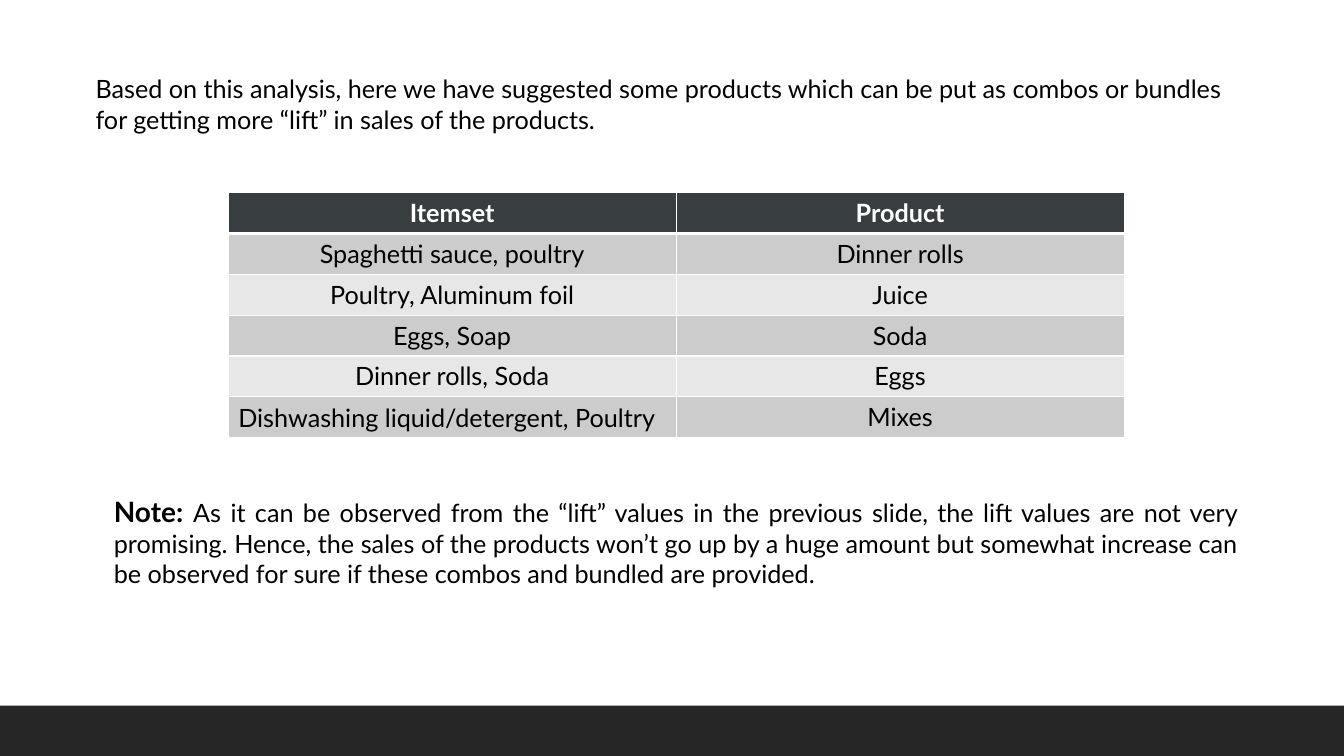
from dataclasses import dataclass

from lxml.etree import SubElement as Sub
from pptx import Presentation
from pptx.dml.color import RGBColor as RGB
from pptx.enum.shapes import MSO_SHAPE as SHAPE
from pptx.enum.text import MSO_ANCHOR as ANCHOR, PP_ALIGN as ALIGN
from pptx.oxml.ns import qn
from pptx.util import Pt


@dataclass(frozen=True)
class Theme:
    font: str = "Lato"
    body: int = 18
    lead: int = 20
    ink: str = "000000"
    paper: str = "FFFFFF"
    footer: str = "262626"
    header: str = "383E40"
    bands: tuple = ("CCCCCC", "E7E7E7")


class Deck:
    def __init__(self, prs, theme):
        self.theme = theme
        self.slide = prs.slides.add_slide(prs.slide_layouts[6])

    def run(self, p, text, **fmt):
        """Add a run to a paragraph, with theme defaults."""
        t = self.theme
        fmt = {"name": t.font, "size": t.body, "bold": False, "color": t.ink} | fmt
        color = fmt.pop("color")
        fmt["size"] = Pt(fmt["size"])
        r = p.add_run()
        r.text = text
        for key, value in fmt.items():
            setattr(r.font, key, value)
        r.font.color.rgb = RGB.from_string(color)

    def bar(self, x, y, w, h, color):
        sp = self.slide.shapes.add_shape(SHAPE.RECTANGLE, Pt(x), Pt(y), Pt(w), Pt(h))
        sp.shadow.inherit = False
        sp.fill.solid()
        sp.fill.fore_color.rgb = RGB.from_string(color)
        sp.line.fill.background()

    def text(self, x, y, w, h, runs, align=ALIGN.LEFT):
        tf = self.slide.shapes.add_textbox(Pt(x), Pt(y), Pt(w), Pt(h)).text_frame
        tf.word_wrap = True
        p = tf.paragraphs[0]
        p.alignment = align
        for text, fmt in runs:
            self.run(p, text, **fmt)

    def borders(self, cell, bottom):
        # Border lines must come before the fill in the cell properties
        tc_pr = cell._tc.get_or_add_tcPr()
        for i, side in enumerate("LRTB"):
            width = bottom if side == "B" else 1
            ln = Sub(tc_pr, qn(f"a:ln{side}"), w=str(Pt(width)))
            fill = Sub(ln, qn("a:solidFill"))
            Sub(fill, qn("a:srgbClr"), val=self.theme.paper)
            tc_pr.insert(i, ln)

    def table(self, x, y, col_w, row_h, rows):
        t, n_rows, n_cols = self.theme, len(rows), len(rows[0])
        table = self.slide.shapes.add_table(
            n_rows, n_cols, Pt(x), Pt(y), Pt(col_w * n_cols), Pt(row_h * n_rows)).table
        for col in table.columns:
            col.width = Pt(col_w)
        for i, row in enumerate(rows):
            table.rows[i].height = Pt(row_h)
            head = i == 0
            for j, text in enumerate(row):
                cell = table.cell(i, j)
                cell.fill.solid()
                cell.fill.fore_color.rgb = RGB.from_string(
                    t.header if head else t.bands[(i - 1) % 2])
                self.borders(cell, 3 if head else 1)
                p = cell.text_frame.paragraphs[0]
                p.alignment = ALIGN.CENTER
                self.run(p, text, bold=head, color=t.paper if head else t.ink)
        return table


INTRO = ("Based on this analysis, here we have suggested some products which can be "
         "put as combos or bundles for getting more “lift” in sales of the products.")
BUNDLES = [
    ("Itemset", "Product"),
    ("Spaghetti sauce, poultry", "Dinner rolls"),
    ("Poultry, Aluminum foil", "Juice"),
    ("Eggs, Soap", "Soda"),
    ("Dinner rolls, Soda", "Eggs"),
    ("Dishwashing liquid/detergent, Poultry", "Mixes"),
]
NOTE = ("As it can be observed from the “lift” values in the previous slide, the lift "
        "values are not very promising. Hence, the sales of the products won’t go up by "
        "a huge amount but somewhat increase can be observed for sure if these combos "
        "and bundled are provided.")


def main():
    prs = Presentation()
    prs.slide_width, prs.slide_height = Pt(960), Pt(540)
    theme = Theme()
    s = Deck(prs, theme)

    # Footer band
    s.bar(0, 504, 960, 36, theme.footer)

    # Introduction
    s.text(61.2, 49, 839.5, 51, [(INTRO, {})])

    # Suggested bundles; the longest itemset is set from the left
    table = s.table(163, 137.5, 320, 29.2, BUNDLES)
    longest = table.cell(len(BUNDLES) - 1, 0)
    longest.vertical_anchor = ANCHOR.MIDDLE
    longest.text_frame.paragraphs[0].alignment = ALIGN.LEFT

    # Note
    s.text(74.2, 350, 817.2, 75,
           [("Note: ", {"size": theme.lead, "bold": True}), (NOTE, {})], ALIGN.JUSTIFY)

    prs.save("out.pptx")


if __name__ == "__main__":
    main()
